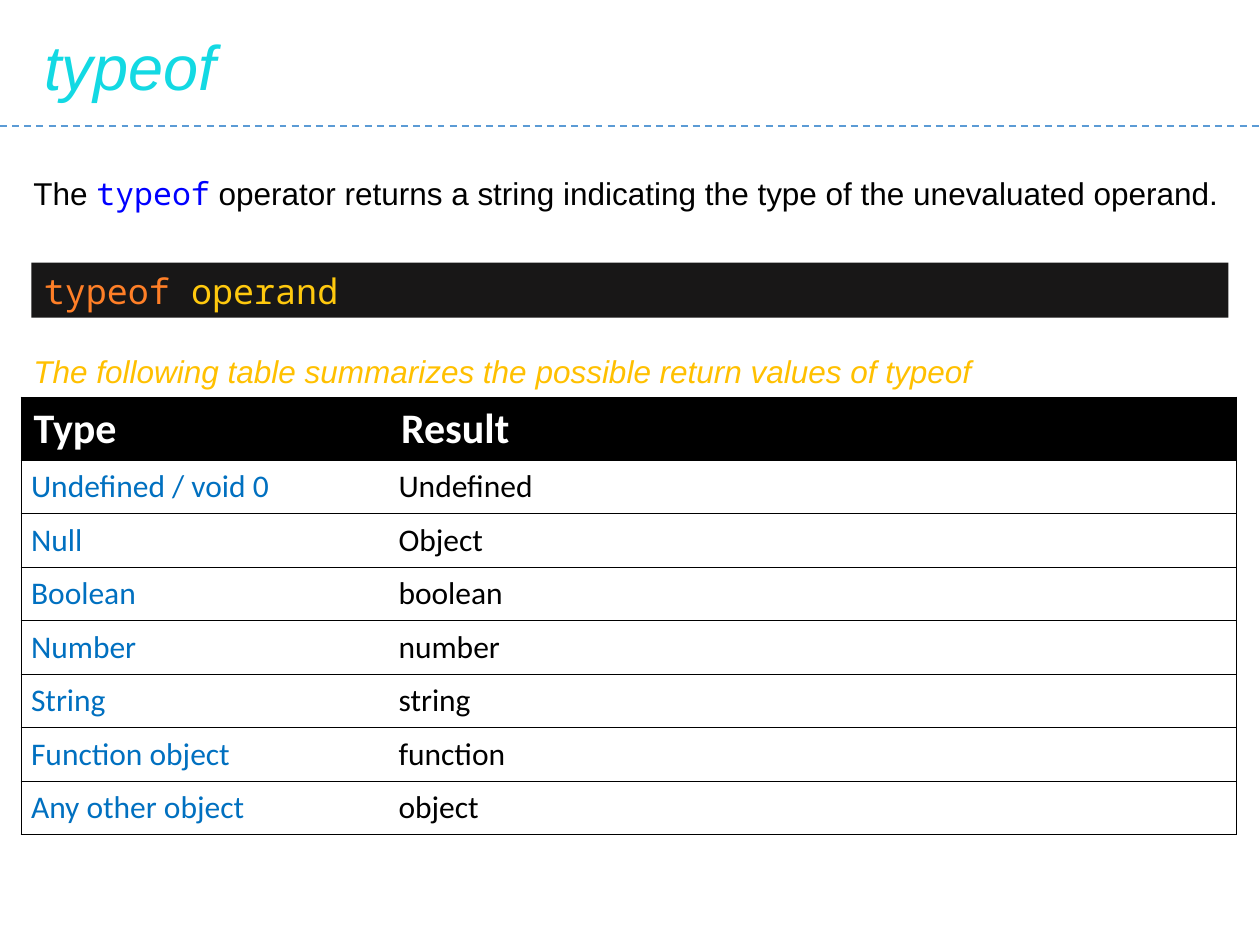
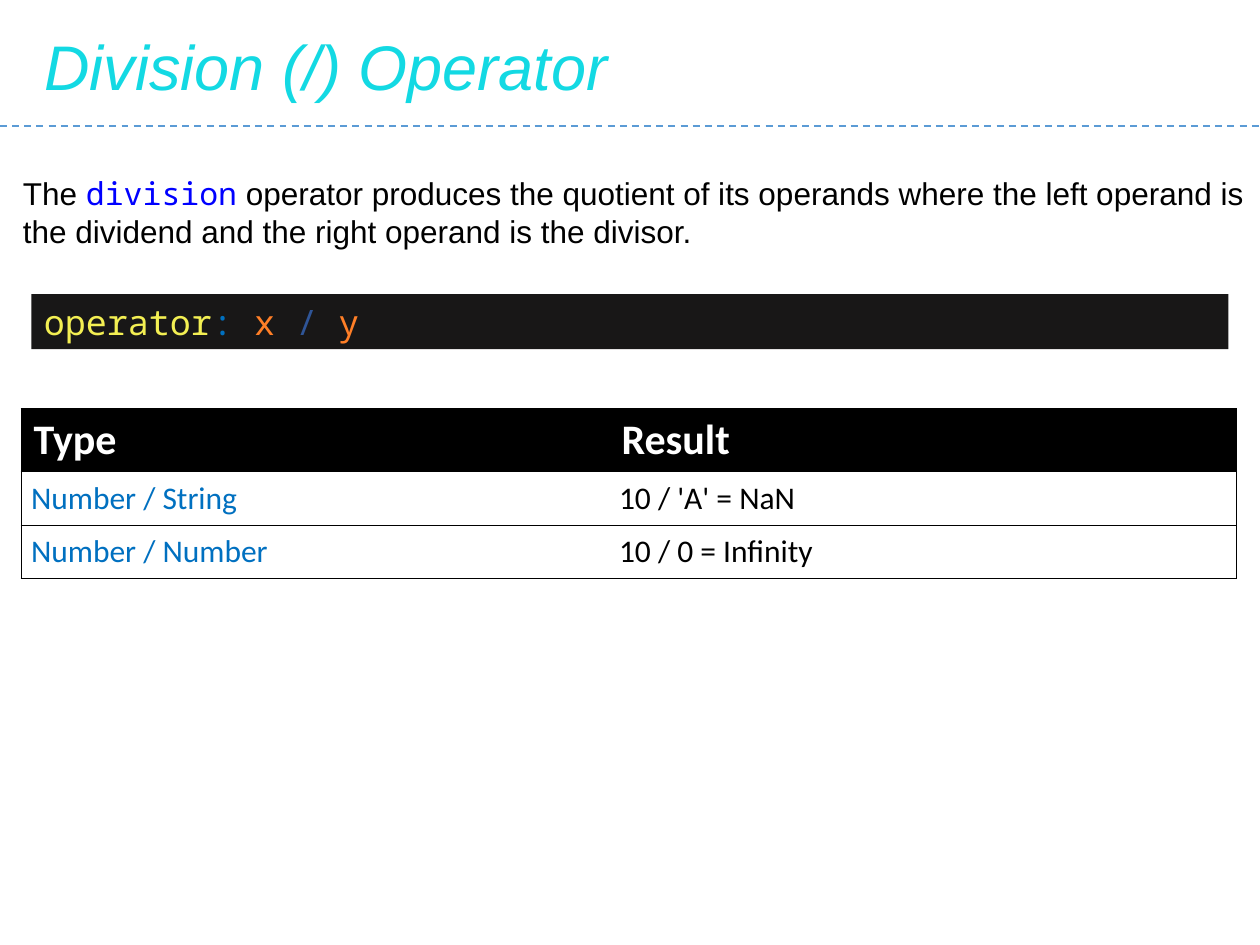
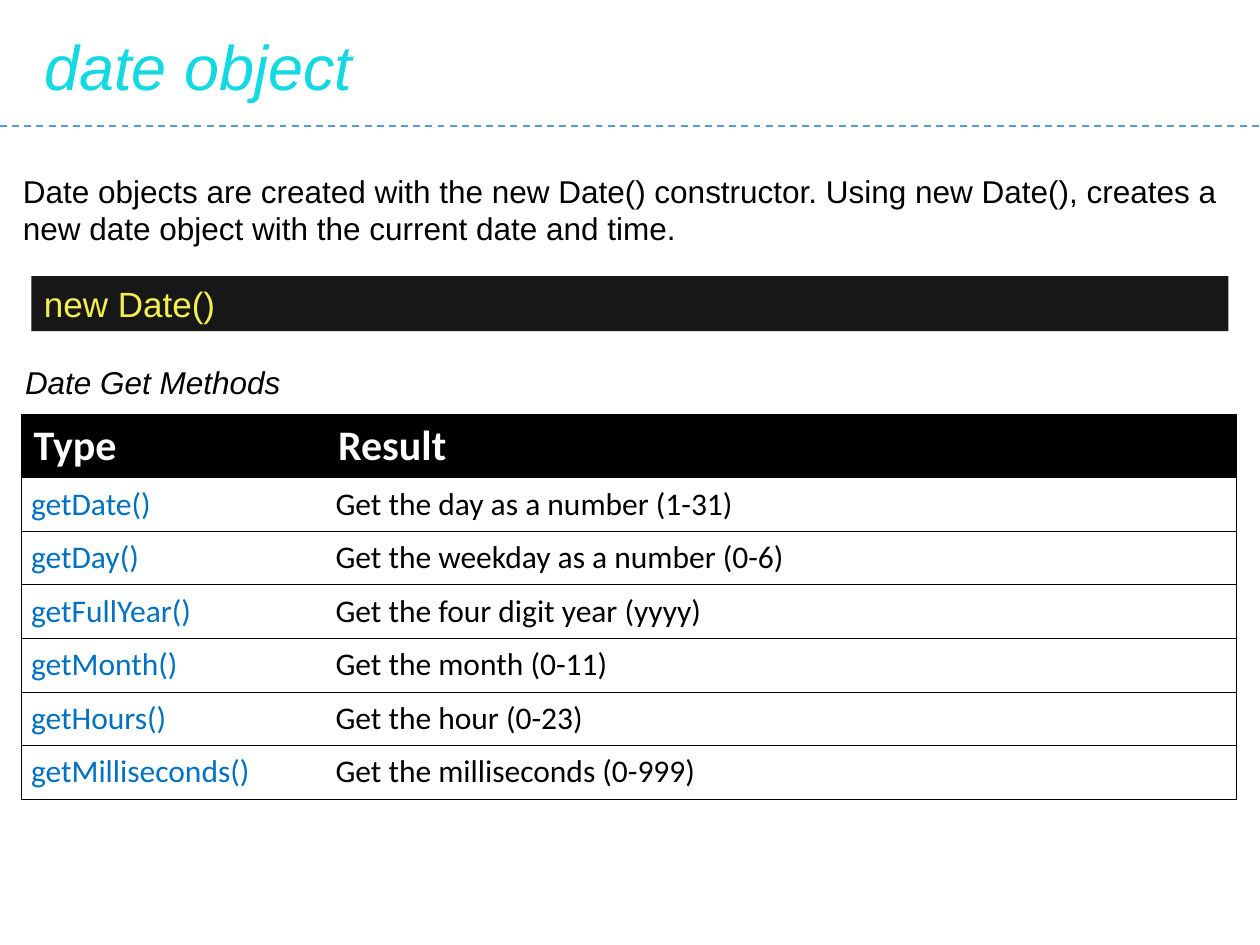
from lxml import etree
from pptx import Presentation
from pptx.dml.color import RGBColor
from pptx.enum.dml import MSO_LINE
from pptx.enum.shapes import MSO_CONNECTOR, MSO_SHAPE
from pptx.enum.text import MSO_ANCHOR, PP_ALIGN
from pptx.oxml.ns import qn
from pptx.util import Inches, Pt

DASH = MSO_LINE.DASH
STRAIGHT = MSO_CONNECTOR.STRAIGHT
RECT = MSO_SHAPE.RECTANGLE
TOP, MIDDLE = MSO_ANCHOR.TOP, MSO_ANCHOR.MIDDLE
LEFT = PP_ALIGN.LEFT

TITLE_ONLY = 5
SANS, MONO, TABLE = "Arial", "Noto Sans Mono", "Calibri"
COLORS = {
    "title": "13D9E3", "rule": "5B9BD5", "bar": "181717",
    "black": "000000", "white": "FFFFFF", "keyword": "0000FF",
    "orange": "FF7F27", "gold": "FFC90E", "amber": "FFC000",
    "yellow": "F3EF53", "blue": "0070C0", "navy": "2F5597",
}


class Deck:
    """Holds the shared style, a 120 by 90 grid and the current slide."""

    def __init__(self):
        self.prs = Presentation()
        self.prs.slide_width, self.prs.slide_height = Inches(10), Inches(7.5)
        self.unit = self.prs.slide_width / 120

    def grid(self, *values):
        return [round(v * self.unit) for v in values]

    def color(self, name):
        return RGBColor.from_string(COLORS[name])

    def fill_text(self, tf, runs, anchor=TOP, **base):
        tf.word_wrap = True
        tf.vertical_anchor = anchor
        p = tf.paragraphs[0]
        p.alignment = LEFT
        for text, fmt in runs:
            r = p.add_run()
            r.text = text
            values = {"name": SANS, "color": "black", **base, **fmt}
            r.font.color.rgb = self.color(values.pop("color"))
            for key, value in values.items():
                setattr(r.font, key, value)

    def slide(self, title):
        self.s = self.prs.slides.add_slide(self.prs.slide_layouts[TITLE_ONLY])
        sp = self.s.shapes.title
        sp.left, sp.top, sp.width, sp.height = self.grid(3, 2, 113, 8.5)
        self.fill_text(sp.text_frame, [(title, {})],
                       size=Pt(36), color="title", italic=True)
        self.rule(12)

    def rule(self, y):
        line = self.s.shapes.add_connector(STRAIGHT, *self.grid(0, y, 120, y))
        line.line.color.rgb = self.color("rule")
        line.line.width = Pt(1)
        line.line.dash_style = DASH
        etree.SubElement(line._element.spPr, qn("a:effectLst"))

    def text(self, x, y, w, h, runs, **base):
        sp = self.s.shapes.add_textbox(*self.grid(x, y, w, h))
        self.fill_text(sp.text_frame, runs, size=Pt(18), **base)

    def code(self, y, runs, **base):
        sp = self.s.shapes.add_shape(RECT, *self.grid(3, y, 114, 5.25))
        sp.shadow.inherit = False
        sp.fill.solid()
        sp.fill.fore_color.rgb = self.color("bar")
        sp.line.fill.background()
        self.fill_text(sp.text_frame, runs, MIDDLE, size=Pt(20), **base)

    def border(self, cell, sides):
        tc_pr = cell._tc.get_or_add_tcPr()
        for side in "LRTB":
            ln = etree.SubElement(tc_pr, qn(f"a:ln{side}"), w=str(Pt(0.5)))
            if side in sides:
                fill = etree.SubElement(ln, qn("a:solidFill"))
                etree.SubElement(fill, qn("a:srgbClr"), val=COLORS["black"])
            else:
                etree.SubElement(ln, qn("a:noFill"))

    def cell(self, cell, text, header, first):
        self.border(cell, "TBL" if first else "TBR")
        cell.fill.solid()
        cell.fill.fore_color.rgb = self.color("black" if header else "white")
        if header:
            fmt = {"size": Pt(24), "color": "white", "bold": True}
        else:
            fmt = {"size": Pt(18), "color": "blue" if first else "black"}
            cell.margin_left = cell.margin_right = Inches(0.08)
            cell.margin_top = cell.margin_bottom = Inches(0.06)
        self.fill_text(cell.text_frame, [(text, {})], name=TABLE, **fmt)
        cell.vertical_anchor = TOP if header else MIDDLE

    def table(self, y, split, body):
        rows = [("Type", "Result"), *body]
        width, head, row = 115.8, 6, 5.1
        box = self.grid(2, y, width, head + row * len(body))
        table = self.s.shapes.add_table(len(rows), 2, *box).table
        table.first_row = table.horz_banding = False
        for col, w in zip(table.columns, self.grid(split, width - split)):
            col.width = w
        for i, values in enumerate(rows):
            table.rows[i].height = self.grid(row if i else head)[0]
            for j, text in enumerate(values):
                self.cell(table.cell(i, j), text, i == 0, j == 0)


def main():
    keyword = {"name": MONO, "color": "keyword"}
    deck = Deck()

    deck.slide("typeof")
    deck.text(2, 16, 116, 4.8, [
        ("The ", {}), ("typeof", keyword),
        (" operator returns a string indicating the type of the "
         "unevaluated operand.", {})])
    deck.code(25, [("typeof ", {"color": "orange"}),
                   ("operand", {"color": "gold"})], name=MONO)
    deck.text(2, 32.9, 115, 4.8, [
        ("The following table summarizes the possible return values of typeof",
         {})], color="amber", italic=True)
    deck.table(37.8, 35, [
        ("Undefined / void 0", "Undefined"),
        ("Null", "Object"),
        ("Boolean", "boolean"),
        ("Number", "number"),
        ("String", "string"),
        ("Function object", "function"),
        ("Any other object", "object"),
    ])

    deck.slide("Division (/) Operator")
    deck.text(1, 16, 119, 8.5, [
        ("The ", {}), ("division", keyword),
        (" operator produces the quotient of its operands where the left "
         "operand is the dividend and the right operand is the divisor.", {})])
    deck.table(38.9, 56, [
        ("Number / String", "10 / 'A' = NaN"),
        ("Number / Number", "10 / 0 = Infinity"),
    ])
    deck.code(28, [("operator", {"color": "yellow"}), (": ", {"color": "blue"}),
                   ("x ", {"color": "orange"}), ("/ ", {"color": "navy"}),
                   ("y", {"color": "orange"})], name=MONO)

    deck.slide("date object")
    deck.text(1, 15.75, 119, 8.5, [
        ("Date objects are created with the new Date() constructor. Using new "
         "Date(), creates a new date object with the current date and time.",
         {})])
    deck.code(26.3, [("new Date()", {})], color="yellow")
    deck.text(1.2, 34, 116.8, 4.8, [("Date Get Methods", {})], italic=True)
    deck.table(39.5, 29, [
        ("getDate()", "Get the day as a number (1-31)"),
        ("getDay()", "Get the weekday as a number (0-6)"),
        ("getFullYear()", "Get the four digit year (yyyy)"),
        ("getMonth()", "Get the month (0-11)"),
        ("getHours()", "Get the hour (0-23)"),
        ("getMilliseconds()", "Get the milliseconds (0-999)"),
    ])

    deck.prs.save("out.pptx")


if __name__ == "__main__":
    main()
